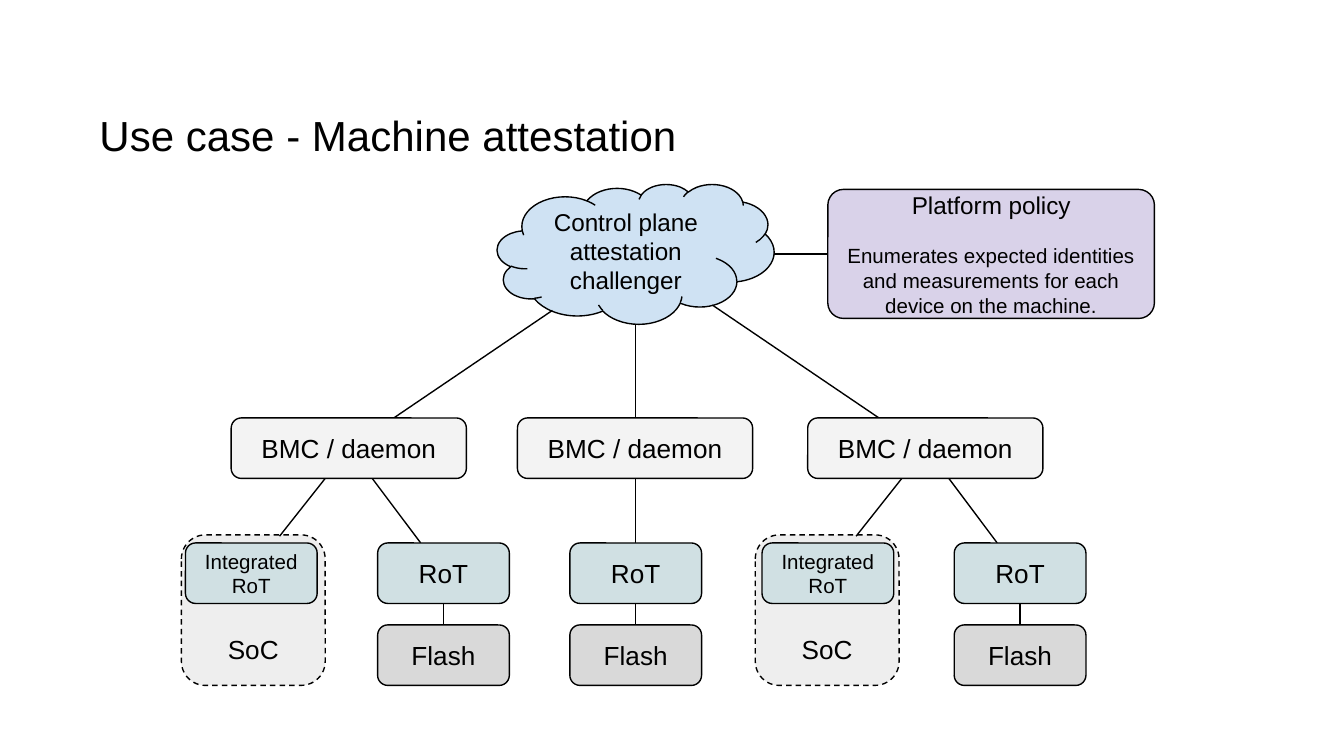
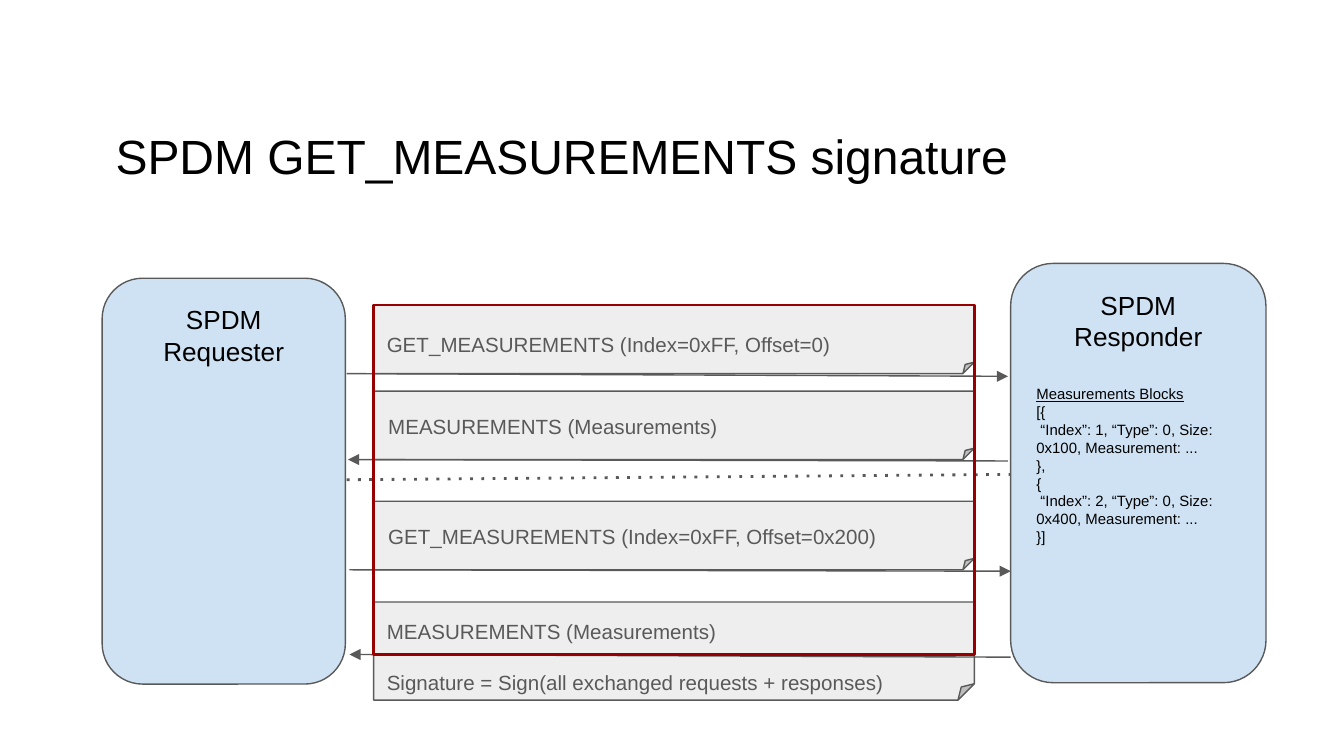
import pptx
import pptx.util
import pptx.dml.color
import pptx.enum.dml
import pptx.enum.shapes
import pptx.enum.text
import pptx.oxml.ns
from lxml import etree

Inches = pptx.util.Inches
Pt = pptx.util.Pt
SHAPE = pptx.enum.shapes.MSO_SHAPE
ANCHOR = pptx.enum.text.MSO_ANCHOR
ALIGN = pptx.enum.text.PP_ALIGN
DASH = pptx.enum.dml.MSO_LINE.DASH
qn = pptx.oxml.ns.qn

FONT = "Arial"
SLIDE_WIDTH = 10
COLORS = {
    "black": "000000",
    "grey_text": "595959",
    "blue": "CFE2F3",
    "violet": "D9D2E9",
    "teal": "D0E0E3",
    "bmc": "F3F3F3",
    "pale": "EEEEEE",
    "flash": "D9D9D9",
    "red": "980000",
}


def rgb(name):
    return pptx.dml.color.RGBColor.from_string(COLORS[name])


def write(frame, text, size=14, color="black", align=ALIGN.LEFT, underline=False,
          spacing=None, before=None):
    """Add one paragraph to a text frame, using the first one if it is empty."""
    first = frame.paragraphs[0]
    paragraph = frame.add_paragraph() if first.runs else first
    paragraph.alignment = align
    if spacing is not None:
        paragraph.line_spacing = spacing
    if before is not None:
        paragraph.space_before = Pt(before)
    run = paragraph.add_run()
    run.text = text
    run.font.name = FONT
    run.font.size = Pt(size)
    run.font.underline = underline
    run.font.color.rgb = rgb(color)


class Deck:
    def __init__(self):
        self.prs = pptx.Presentation()
        self.prs.slide_width = Inches(SLIDE_WIDTH)
        self.prs.slide_height = Inches(SLIDE_WIDTH * 9 / 16)
        self.slide = None

    def prepare(self, frame, anchor):
        frame.word_wrap = True
        frame.auto_size = pptx.enum.text.MSO_AUTO_SIZE.NONE
        frame.vertical_anchor = anchor
        frame.margin_left = frame.margin_right = Inches(0.1)
        frame.margin_top = frame.margin_bottom = Inches(0.1)
        return frame

    def new_slide(self, title, box, size):
        self.slide = self.prs.slides.add_slide(self.prs.slide_layouts[5])
        heading = self.slide.shapes.title
        heading.left, heading.top, heading.width, heading.height = map(Inches, box)
        write(self.prepare(heading.text_frame, ANCHOR.TOP), title, size=size, spacing=0.8)

    def block(self, kind, box, fill=None, text=None, size=14, line="black", width=0.75,
              dash=None, anchor=ANCHOR.MIDDLE, adjust=None):
        shape = self.slide.shapes.add_shape(kind, *map(Inches, box))
        shape.shadow.inherit = False
        if fill:
            shape.fill.solid()
            shape.fill.fore_color.rgb = rgb(fill)
        else:
            shape.fill.background()
        shape.line.color.rgb = rgb(line)
        shape.line.width = Pt(width)
        if dash:
            shape.line.dash_style = dash
        if adjust:
            shape.adjustments[0] = adjust
        frame = self.prepare(shape.text_frame, anchor)
        if text:
            write(frame, text, size=size, align=ALIGN.CENTER)
        return frame

    def rounded(self, box, fill, text, **style):
        return self.block(SHAPE.ROUNDED_RECTANGLE, box, fill, text, **style)

    def label(self, box):
        textbox = self.slide.shapes.add_textbox(*map(Inches, box))
        return self.prepare(textbox.text_frame, ANCHOR.TOP)

    def line(self, start, end, color="black", width=0.75, dash=None, arrow=None):
        """Draw a line; arrow is headEnd (at start) or tailEnd (at end)."""
        link = self.slide.shapes.add_connector(
            pptx.enum.shapes.MSO_CONNECTOR.STRAIGHT, *map(Inches, (*start, *end)))
        link.line.color.rgb = rgb(color)
        link.line.width = Pt(width)
        properties = link._element.spPr
        outline = properties.find(qn("a:ln"))
        if dash:
            etree.SubElement(outline, qn("a:prstDash"), val=dash)
        if arrow:
            etree.SubElement(outline, qn(f"a:{arrow}"), type="triangle")
        etree.SubElement(properties, qn("a:effectLst"))


def machine_slide(deck):
    deck.new_slide("Use case - Machine attestation", (0.64, 0.79, 8.93, 0.55), 22.5)

    # Challenger and its policy
    deck.line((6.15, 1.89), (5.76, 1.89))
    deck.block(SHAPE.CLOUD, (3.7, 1.37, 2.06, 1.04), "blue",
               "Control plane attestation challenger", size=13)
    policy = deck.rounded((6.16, 1.41, 2.43, 0.96), "violet", "Platform policy",
                          size=13, adjust=0.121)
    write(policy, "Enumerates expected identities and measurements for each device "
          "on the machine.", size=11, align=ALIGN.CENTER, before=12.65)

    # Machines: left edges of BMC, SoC, its chip and RoT, then the cloud link's ends
    machines = [
        (1.72, 1.35, 1.38, 2.81, (4.11, 2.31), 2.93),
        (3.85, None, None, 4.24, (4.73, 2.41), 4.73),
        (6.01, 5.62, 5.67, 7.1, (5.3, 2.27), 6.54),
    ]
    bmc_top, bmc_bottom, chip_top, flash_top = 3.11, 3.56, 4.04, 4.65
    chip_width, row_height = 0.98, 0.45
    for bmc, soc, integrated, rot, cloud_end, bmc_end in machines:
        deck.line(cloud_end, (bmc_end, bmc_top))
        deck.rounded((bmc, bmc_top, 1.75, row_height), "bmc", "BMC / daemon")
        rot_center = rot + chip_width / 2
        if soc is None:
            deck.line((rot_center, chip_top), (rot_center, bmc_bottom))
        else:
            deck.rounded((soc, 3.98, 1.07, 1.12), "pale", "SoC", dash=DASH,
                         anchor=ANCHOR.BOTTOM)
            deck.line((integrated + 0.7, 3.99), (bmc + 0.7, bmc_bottom))
            deck.rounded((integrated, chip_top, chip_width, row_height), "teal",
                         "Integrated RoT", size=11)
            deck.line((rot + 0.32, chip_top), (bmc + 1.05, bmc_bottom))
        deck.rounded((rot, chip_top, chip_width, row_height), "teal", "RoT")
        deck.line((rot_center, chip_top + row_height), (rot_center, flash_top))
        deck.rounded((rot, flash_top, chip_width, row_height), "flash", "Flash")


def signature_slide(deck):
    deck.new_slide("SPDM GET_MEASUREMENTS signature", (0.76, 0.92, 8.42, 0.6), 25.75)

    # The two parties
    party = dict(line="grey_text", anchor=ANCHOR.TOP)
    deck.rounded((0.76, 2.07, 1.81, 3.02), "blue", "SPDM Requester", **party)
    responder = deck.rounded((7.52, 1.96, 1.9, 3.12), "blue", "SPDM Responder", **party)
    write(responder, "Measurements Blocks", size=8, underline=True, before=17.5)
    for entry in ("[{", " “Index”: 1, “Type”: 0, Size: 0x100, Measurement: ...", "},",
                  "{", " “Index”: 2, “Type”: 0, Size: 0x400, Measurement: ...", "}]"):
        write(responder, entry, size=8)

    # Messages: note top and height, text box, arrow ends and direction, lines
    request, response = "tailEnd", "headEnd"
    messages = [
        (2.27, 0.51, (2.78, 2.34, 4.54, 0.36), (2.58, 2.78), (7.5, 2.8), request,
         ["GET_MEASUREMENTS (Index=0xFF, Offset=0)"]),
        (2.91, 0.51, (2.79, 2.95, 4.54, 0.36), (2.59, 3.42), (7.5, 3.43), response,
         ["MEASUREMENTS (Measurements)"]),
        (3.73, 0.51, (2.79, 3.77, 4.54, 0.36), (2.6, 4.24), (7.52, 4.25), request,
         ["GET_MEASUREMENTS (Index=0xFF, Offset=0x200)"]),
        (4.48, 0.73, (2.78, 4.48, 4.1, 0.72), (2.6, 4.87), (7.52, 4.89), response,
         ["MEASUREMENTS (Measurements)",
          "Signature = Sign(all exchanged requests + responses)"]),
    ]
    for top, height, text_box, start, end, direction, lines in messages:
        deck.block(SHAPE.FOLDED_CORNER, (2.78, top, 4.47, height), "pale",
                   line="grey_text")
        message = deck.label(text_box)
        for index, text in enumerate(lines):
            write(message, text, size=11, color="grey_text", spacing=1.15,
                  before=12 if index else None)
        deck.line(start, end, color="grey_text", arrow=direction)

    # Omitted exchanges and the signed range
    deck.line((2.58, 3.57), (7.52, 3.53), color="grey_text", width=1.5, dash="dot")
    deck.block(SHAPE.RECTANGLE, (2.78, 2.27, 4.47, 2.6), line="red", width=1.5)


def main():
    deck = Deck()
    machine_slide(deck)
    signature_slide(deck)
    deck.prs.save("out.pptx")


if __name__ == "__main__":
    main()
